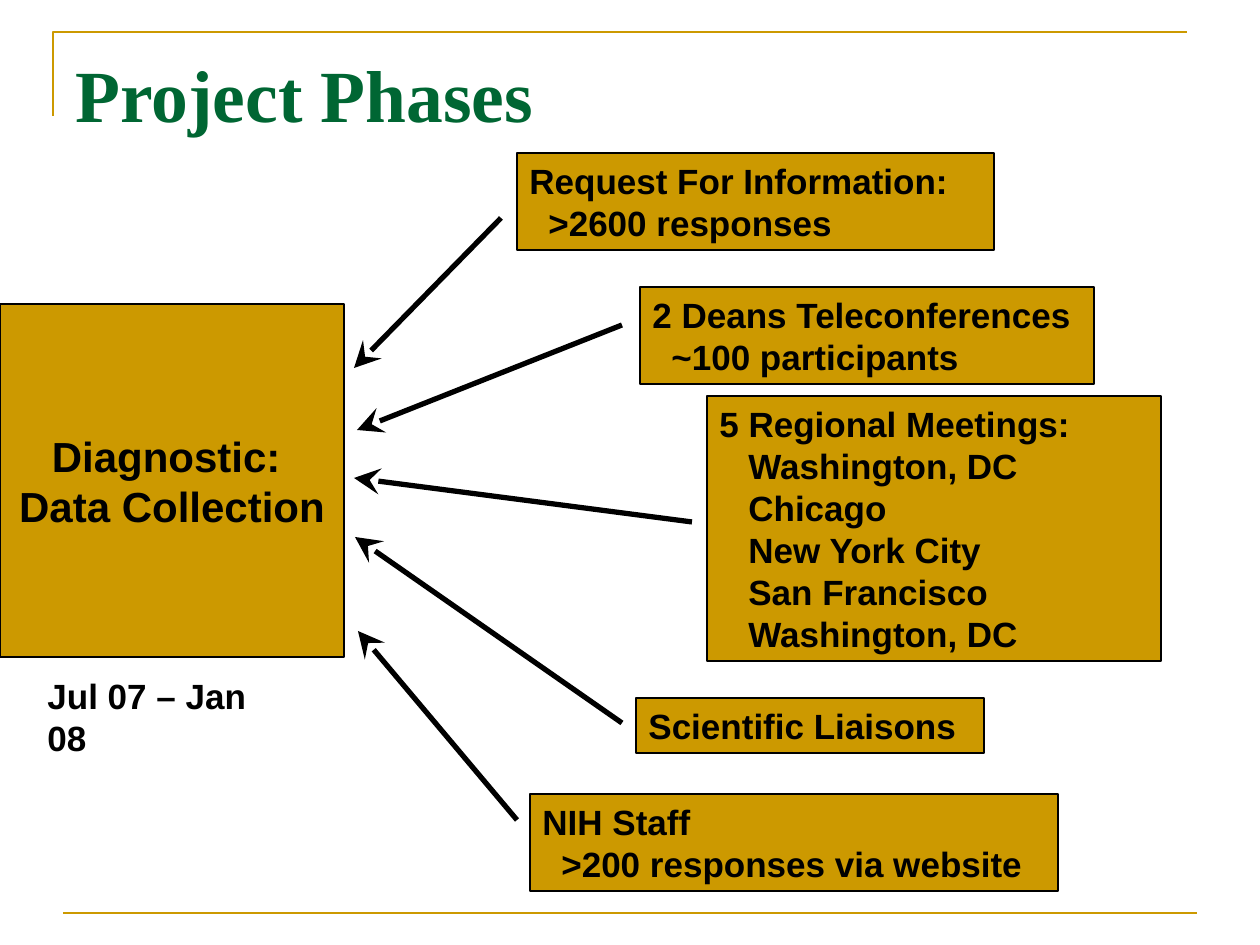
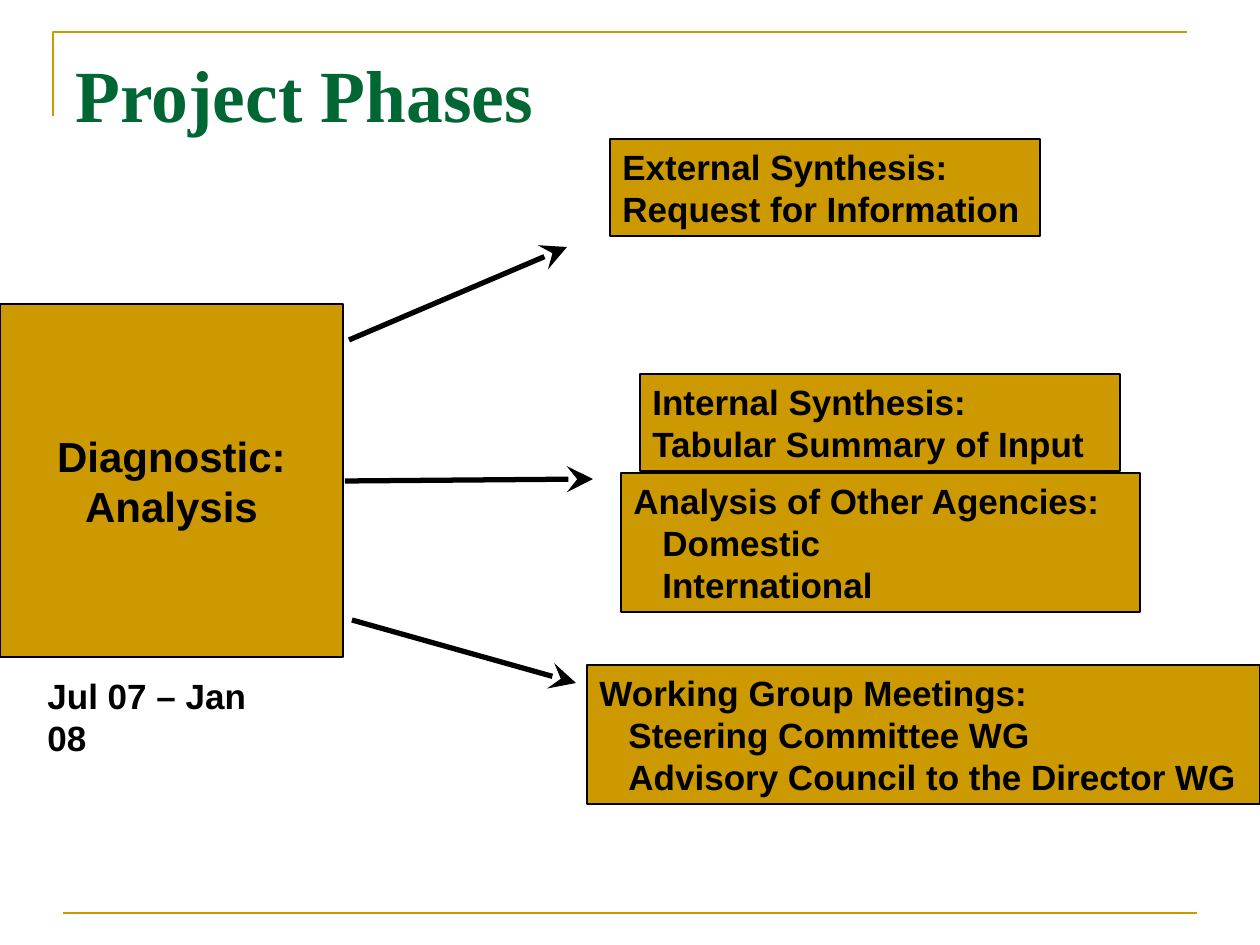
"""Builds two slides on the project's diagnostic phase."""
from lxml import etree
from pptx import Presentation
from pptx import util as u
from pptx.dml.color import RGBColor
from pptx.enum import shapes, text
from pptx.oxml.ns import qn

COLOURS = {"gold": "CC9900", "green": "006633", "ink": "000000"}
SCALE = 914400 / 126
LINE_HEIGHT = 42
PADDING = 13
PERIOD = "Jul 07 – Jan 08"


def px(length):
    """Turn px into EMU."""
    return u.Emu(round(length * SCALE))


def colour(name):
    """Look up a colour by name."""
    return RGBColor.from_string(COLOURS[name])


def write(frame, lines, size=20, leading=24, font="Arial", ink="ink",
          align=text.PP_ALIGN.LEFT, anchor=text.MSO_ANCHOR.TOP,
          wrap=True, grow=False, indent=0):
    """Fill a text frame, indenting every line after the first."""
    frame.word_wrap = wrap
    frame.vertical_anchor = anchor
    frame.auto_size = (text.MSO_AUTO_SIZE.SHAPE_TO_FIT_TEXT if grow
                       else text.MSO_AUTO_SIZE.NONE)
    for number, line in enumerate(lines):
        para = frame.add_paragraph() if number else frame.paragraphs[0]
        para.alignment = align
        para.line_spacing = u.Pt(leading)
        if number and indent:
            para._p.get_or_add_pPr().set("marL", str(px(indent)))
        span = para.add_run()
        span.text = line
        span.font.name = font
        span.font.size = u.Pt(size)
        span.font.bold = True
        span.font.color.rgb = colour(ink)


class PhaseDeck:
    """Holds the deck, its style and the current page."""

    def __init__(self):
        """Start an empty deck."""
        self.deck = Presentation()
        self.deck.slide_width, self.deck.slide_height = px(1260), px(945)
        self.page = None

    def add_page(self, title):
        """Add a page with its gold frame and title."""
        self.page = self.deck.slides.add_slide(self.deck.slide_layouts[5])
        builder = self.page.shapes.build_freeform(53, 116, scale=SCALE)
        builder.add_line_segments([(53, 32), (1187, 32)], close=False)
        corner = builder.convert_to_shape()
        corner.shadow.inherit = False
        corner.fill.background()
        self.outline(corner, "gold", 1.5)
        self.line((63, 913), (1197, 913), "gold", 1.5)
        box = self.page.shapes.title
        box.left, box.top, box.width, box.height = map(px, (63, 38, 1134, 158))
        write(box.text_frame, [title], size=42, leading=53,
              font="Times New Roman", ink="green")

    def outline(self, shape, name, width):
        """Set the line colour and width of a shape."""
        shape.line.color.rgb = colour(name)
        shape.line.width = u.Pt(width)

    def line(self, start, end, name, width):
        """Draw a straight line without a shadow."""
        connector = self.page.shapes.add_connector(
            shapes.MSO_CONNECTOR.STRAIGHT, *map(px, start + end))
        self.outline(connector, name, width)
        etree.SubElement(connector._element.spPr, qn("a:effectLst"))
        return connector

    def arrow(self, start, end):
        """Draw a heavy line with a large stealth head."""
        stroke = self.line(start, end, "ink", 3).line._get_or_add_ln()
        etree.SubElement(stroke, qn("a:tailEnd"), type="stealth", w="lg", len="lg")

    def box(self, left, top, width, height, lines, **style):
        """Draw a gold rectangle with text."""
        box = self.page.shapes.add_shape(
            shapes.MSO_SHAPE.RECTANGLE, *map(px, (left, top, width, height)))
        box.shadow.inherit = False
        box.fill.solid()
        box.fill.fore_color.rgb = colour("gold")
        self.outline(box, "ink", 0.75)
        write(box.text_frame, lines, **style)

    def phase(self, width, lines):
        """Draw the phase block and the period below it."""
        self.box(0, 304, width, 353, lines, size=24, leading=29, wrap=False,
                 align=text.PP_ALIGN.CENTER, anchor=text.MSO_ANCHOR.MIDDLE)
        label = self.page.shapes.add_textbox(*map(px, (35, 668, 272, 55)))
        write(label.text_frame, [PERIOD], wrap=False, grow=True)

    def activity(self, left, top, width, lines, indent=0):
        """Draw an activity box as tall as its lines."""
        self.box(left, top, width, PADDING + LINE_HEIGHT * len(lines), lines,
                 grow=True, indent=indent)


def main():
    """Build and save the deck."""
    phases = [
        (344, ["Diagnostic: ", "Data Collection"], [
            (517, 153, 477, ["Request For Information:", ">2600 responses"], 19),
            (640, 287, 454, ["2 Deans Teleconferences", "~100 participants"], 19),
            (707, 396, 454, ["5 Regional Meetings:", "Washington, DC", "Chicago",
                             "New York City", "San Francisco", "Washington, DC"], 29),
            (636, 698, 348, ["Scientific Liaisons"]),
            (530, 794, 528, ["NIH Staff", ">200 responses via website"], 19),
        ], [
            ((501, 218), (354, 368)),
            ((622, 325), (357, 430)),
            ((692, 522), (354, 478)),
            ((622, 723), (355, 537)),
            ((517, 820), (358, 631)),
        ]),
        (343, ["Diagnostic:", "Analysis"], [
            (610, 139, 430, ["External Synthesis:", "Request for Information"]),
            (640, 374, 480, ["Internal Synthesis:", "Tabular Summary of Input"]),
            (621, 473, 519, ["Analysis of Other Agencies:", "Domestic",
                             "International"], 29),
            (587, 665, 673, ["Working Group Meetings:", "Steering Committee WG",
                             "Advisory Council to the Director WG"], 29),
        ], [
            ((349, 340), (567, 247)),
            ((345, 481), (593, 479)),
            ((352, 620), (576, 683)),
        ]),
    ]
    slides = PhaseDeck()
    for width, name, activities, arrows in phases:
        slides.add_page("Project Phases")
        slides.phase(width, name)
        for activity in activities:
            slides.activity(*activity)
        for start, end in arrows:
            slides.arrow(start, end)
    slides.deck.save("out.pptx")


if __name__ == "__main__":
    main()
